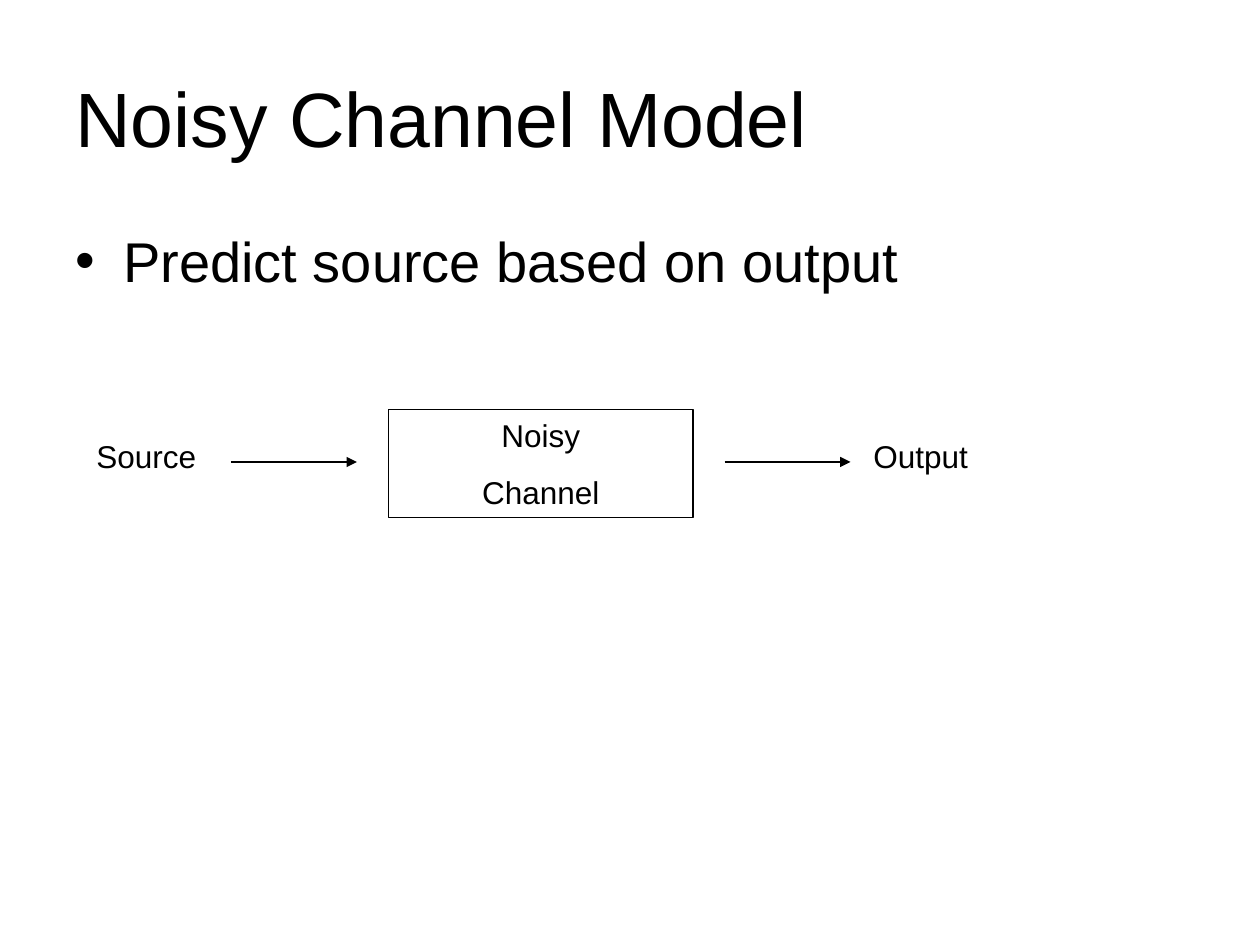
from dataclasses import dataclass

from lxml.etree import SubElement
from pptx import Presentation
from pptx.dml.color import RGBColor
from pptx.enum.shapes import MSO_CONNECTOR as Connector, MSO_SHAPE as Shape
from pptx.enum.text import MSO_ANCHOR as Anchor, PP_ALIGN as Align
from pptx.oxml.ns import qn
from pptx.util import Inches, Pt


@dataclass(frozen=True)
class Theme:
    font: str = "Arial"
    ink: RGBColor = RGBColor(0, 0, 0)
    paper: RGBColor = RGBColor(255, 255, 255)
    title: int = 44
    body: int = 32
    label: int = 18
    body_gap: float = 8
    label_gap: float = 11.2
    line: float = 0.75
    indent: float = 0.38


class SlideBuilder:
    """Draws on one slide; lengths are cells of a grid, twelve to the inch."""

    CELL = Inches(1) / 12

    def __init__(self, deck, theme):
        self.theme = theme
        self.slide = deck.slides.add_slide(deck.slide_layouts[6])
        fill = self.slide.background.fill
        fill.solid()
        fill.fore_color.rgb = theme.paper

    def cells(self, *counts):
        return [round(count * self.CELL) for count in counts]

    def add_lines(self, box, lines, size, gap=0, align=Align.LEFT, anchor=Anchor.TOP):
        frame = box.text_frame
        frame.word_wrap = True
        frame.vertical_anchor = anchor
        for index, line in enumerate(lines):
            para = frame.add_paragraph() if index else frame.paragraphs[0]
            para.alignment = align
            para.space_before = Pt(gap)
            span = para.add_run()
            span.text = line
            span.font.name = self.theme.font
            span.font.size = Pt(size)
            span.font.color.rgb = self.theme.ink

    def text(self, area, line, size, **style):
        box = self.slide.shapes.add_textbox(*self.cells(*area))
        self.add_lines(box, [line], size, **style)
        return box

    def title(self, area, line):
        self.text(area, line, self.theme.title, anchor=Anchor.MIDDLE)

    def bullet(self, area, line):
        box = self.text(area, line, self.theme.body, gap=self.theme.body_gap)
        properties = box.text_frame.paragraphs[0]._p.get_or_add_pPr()
        indent = Inches(self.theme.indent)
        properties.set("marL", str(indent))
        properties.set("indent", str(-indent))
        SubElement(properties, qn("a:buFont"), typeface=self.theme.font)
        SubElement(properties, qn("a:buChar"), char="•")

    def label(self, area, line):
        self.text(area, line, self.theme.label, gap=self.theme.label_gap)

    def block(self, area, lines):
        box = self.slide.shapes.add_shape(Shape.RECTANGLE, *self.cells(*area))
        box.shadow.inherit = False
        box.fill.background()
        self.outline(box)
        self.add_lines(box, lines, self.theme.label, self.theme.label_gap, Align.CENTER)

    def arrow(self, column, row, length):
        ends = self.cells(column, row, column + length, row)
        arrow = self.slide.shapes.add_connector(Connector.STRAIGHT, *ends)
        self.outline(arrow)
        SubElement(arrow.line._get_or_add_ln(), qn("a:tailEnd"), type="triangle")
        SubElement(arrow._element.spPr, qn("a:effectLst"))

    def outline(self, item):
        item.line.color.rgb = self.theme.ink
        item.line.width = Pt(self.theme.line)


def main():
    deck = Presentation()
    deck.slide_width, deck.slide_height = Inches(10), Inches(7.5)
    page = SlideBuilder(deck, Theme())

    page.title((6, 3.6, 108, 15), "Noisy Channel Model")
    page.bullet((6, 21, 108, 59.4), "Predict source based on output")

    page.block((37, 39, 29, 10.3), ["Noisy", "Channel"])
    for column in (22, 69):
        page.arrow(column, 44, 12)
    for column, width, line in ((8, 13, "Source"), (82, 17, "Output")):
        page.label((column, 41, width, 4.8), line)

    deck.save("out.pptx")


if __name__ == "__main__":
    main()
